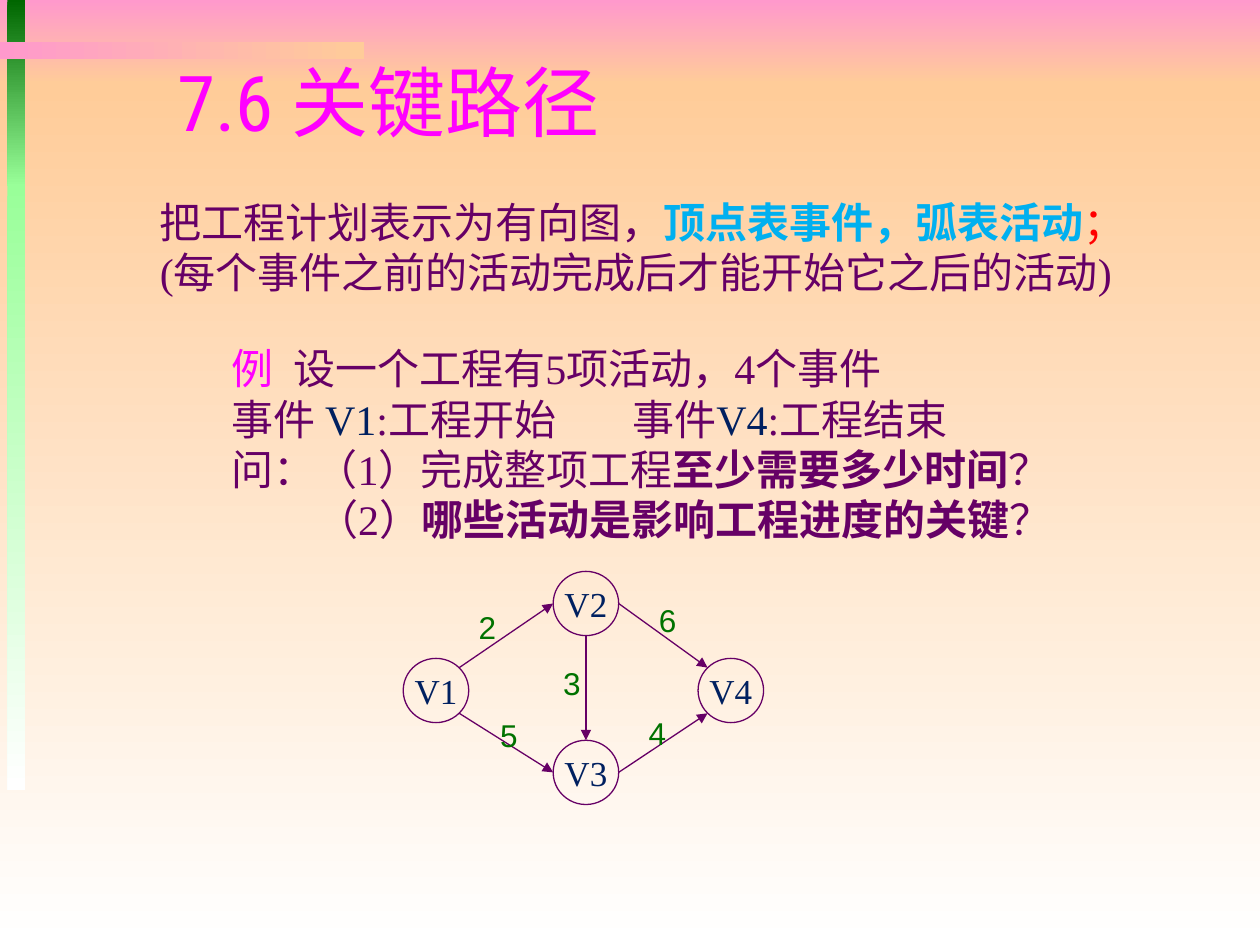
from lxml import etree
from pptx import Presentation
from pptx.dml.color import RGBColor
from pptx.enum.shapes import MSO_CONNECTOR, MSO_SHAPE
from pptx.enum.text import MSO_ANCHOR, PP_ALIGN
from pptx.oxml.ns import qn
from pptx.util import Inches, Pt

RECT, OVAL = MSO_SHAPE.RECTANGLE, MSO_SHAPE.OVAL
STRAIGHT = MSO_CONNECTOR.STRAIGHT
CENTER, LEFT = PP_ALIGN.CENTER, PP_ALIGN.LEFT
MIDDLE = MSO_ANCHOR.MIDDLE
TITLE_ONLY = 5

PURPLE, NAVY, MAGENTA, GREEN = "660066", "002060", "FF00FF", "007200"
SKY, RED = "00B0F0", "FF0000"
PINK, PEACH, WHITE = "FF99CC", "FFCC99", "FFFFFF"
DARK_GREEN, LIGHT_GREEN = "006600", "99FF99"

# Left, top, width, height, start colour, end colour, angle (270 runs downwards)
BANDS = [
    (0, 0, 10, 0.67, PINK, PEACH, 270),
    (0, 0.67, 10, 6.83, PEACH, WHITE, 270),
    (0.06, 0, 0.14, 1.48, DARK_GREEN, LIGHT_GREEN, 270),
    (0.06, 1.46, 0.14, 4.81, LIGHT_GREEN, WHITE, 270),
    (0, 0.33, 2.89, 0.14, PINK, PEACH, 0),
]

# Paragraphs of (text, colour, bold)
DEFINITION = [
    [("把工程计划表示为有向图，", PURPLE, False),
     ("顶点表事件，弧表活动", SKY, True), ("；", RED, False)],
    [("(每个事件之前的活动完成后才能开始它之后的活动)", PURPLE, False)],
]
EXAMPLE = [
    [("例\t", MAGENTA, False), ("设一个工程有5项活动，4个事件", PURPLE, False)],
    [("事件 ", PURPLE, False), ("V1", NAVY, False),
     (":工程开始\t事件", PURPLE, False), ("V4", NAVY, False),
     (":工程结束", PURPLE, False)],
    [("问：（1）完成整项工程", PURPLE, False),
     ("至少需要多少时间", PURPLE, True), ("？", PURPLE, False)],
    [("（2）", PURPLE, False),
     ("哪些活动是影响工程进度的关键", PURPLE, True), ("？", PURPLE, False)],
]
TAB_STOPS = {0: 0.49, 1: 3.18}
QUESTION_INDENT = {3: 0.67}

# Graph: event centres, and activities with the sides they join
EVENT_W, EVENT_H = 0.52, 0.51
EVENTS = {"V1": (3.46, 5.48), "V2": (4.65, 4.79),
          "V3": (4.65, 6.13), "V4": (5.8, 5.48)}
DIAGONAL = 0.71
SIDES = {"left": (-1, 0), "right": (1, 0), "top": (0, -1), "bottom": (0, 1),
         "upper right": (DIAGONAL, -DIAGONAL),
         "lower right": (DIAGONAL, DIAGONAL),
         "upper left": (-DIAGONAL, -DIAGONAL),
         "lower left": (-DIAGONAL, DIAGONAL)}
# Start, its side, end, its side, duration, label position
ACTIVITIES = [
    ("V1", "upper right", "V2", "left", "2", (3.7, 4.78)),
    ("V1", "lower right", "V3", "left", "5", (3.87, 5.63)),
    ("V2", "right", "V4", "upper left", "6", (5.13, 4.72)),
    ("V3", "right", "V4", "lower left", "4", (5.05, 5.62)),
    ("V2", "bottom", "V3", "top", "3", (4.37, 5.22)),
]


def rgb(value):
    return RGBColor.from_string(value)


def inches(*lengths):
    return [Inches(length) for length in lengths]


def set_all(target, values):
    for key, value in values.items():
        setattr(target, key, value)


def add_run(paragraph, text, size, font, color, bold=False):
    run = paragraph.add_run()
    run.text = text
    set_all(run.font, {"size": Pt(size), "name": font, "bold": bold})
    run.font.color.rgb = rgb(color)


def add_band(slide, left, top, width, height, start, end, angle):
    band = slide.shapes.add_shape(RECT, *inches(left, top, width, height))
    band.shadow.inherit = False
    band.line.fill.background()
    band.fill.gradient()
    band.fill.gradient_angle = angle
    for stop, color in zip(band.fill.gradient_stops, (start, end)):
        stop.color.rgb = rgb(color)


def add_text(slide, box, paragraphs, size, font):
    frame = slide.shapes.add_textbox(*inches(*box)).text_frame
    frame.word_wrap = True
    for index, runs in enumerate(paragraphs):
        paragraph = frame.paragraphs[0] if index == 0 else frame.add_paragraph()
        for text, color, bold in runs:
            add_run(paragraph, text, size, font, color, bold)
    return frame


def align_example(frame):
    for row, position in TAB_STOPS.items():
        properties = frame.paragraphs[row]._p.get_or_add_pPr()
        stops = etree.SubElement(properties, qn("a:tabLst"))
        etree.SubElement(stops, qn("a:tab"), pos=str(Inches(position)), algn="l")
    for row, indent in QUESTION_INDENT.items():
        properties = frame.paragraphs[row]._p.get_or_add_pPr()
        properties.set("marL", str(Inches(indent)))


def add_event(slide, name, center):
    x, y = center
    event = slide.shapes.add_shape(
        OVAL, *inches(x - EVENT_W / 2, y - EVENT_H / 2, EVENT_W, EVENT_H))
    event.shadow.inherit = False
    event.fill.background()
    event.line.color.rgb = rgb(PURPLE)
    event.line.width = Pt(0.75)
    frame = event.text_frame
    set_all(frame, {"margin_left": 0, "margin_right": 0, "margin_top": 0,
                    "margin_bottom": 0, "vertical_anchor": MIDDLE})
    frame.paragraphs[0].alignment = CENTER
    add_run(frame.paragraphs[0], name, 20, "Times New Roman", NAVY)


def event_edge(name, side):
    (x, y), (across, down) = EVENTS[name], SIDES[side]
    return inches(x + across * EVENT_W / 2, y + down * EVENT_H / 2)


def add_activity(slide, start, start_side, end, end_side):
    arrow = slide.shapes.add_connector(
        STRAIGHT, *event_edge(start, start_side), *event_edge(end, end_side))
    arrow.line.color.rgb = rgb(PURPLE)
    arrow.line.width = Pt(0.75)
    etree.SubElement(arrow.line._get_or_add_ln(), qn("a:tailEnd"), type="triangle")
    etree.SubElement(arrow._element.spPr, qn("a:effectLst"))


def add_title(slide):
    title = slide.shapes.title
    left, top, width, height = inches(1.31, 0.35, 4.07, 0.9)
    set_all(title, {"left": left, "top": top, "width": width, "height": height})
    set_all(title.text_frame, {"vertical_anchor": MIDDLE, "word_wrap": True})
    paragraph = title.text_frame.paragraphs[0]
    paragraph.alignment = LEFT
    add_run(paragraph, "7.6 关键路径", 44, "Roboto Condensed", MAGENTA)
    # Bring the title in front of the background bands
    slide.shapes._spTree.append(title._element)


def main():
    deck = Presentation()
    deck.slide_width, deck.slide_height = inches(10, 7.5)
    slide = deck.slides.add_slide(deck.slide_layouts[TITLE_ONLY])

    # Background and decoration
    for band in BANDS:
        add_band(slide, *band)

    # Definition and example
    add_text(slide, (1.17, 1.51, 8.06, 0.91), DEFINITION, 24, "Times New Roman")
    example = add_text(slide, (1.74, 2.67, 6.79, 1.72), EXAMPLE, 24,
                       "Times New Roman")
    align_example(example)

    # Activity graph
    for name, center in EVENTS.items():
        add_event(slide, name, center)
    for *route, duration, position in ACTIVITIES:
        add_activity(slide, *route)
        add_text(slide, (*position, 0.49, 0.4), [[(duration, GREEN, False)]],
                 18, "Arial")

    add_title(slide)
    deck.save("out.pptx")


if __name__ == "__main__":
    main()
